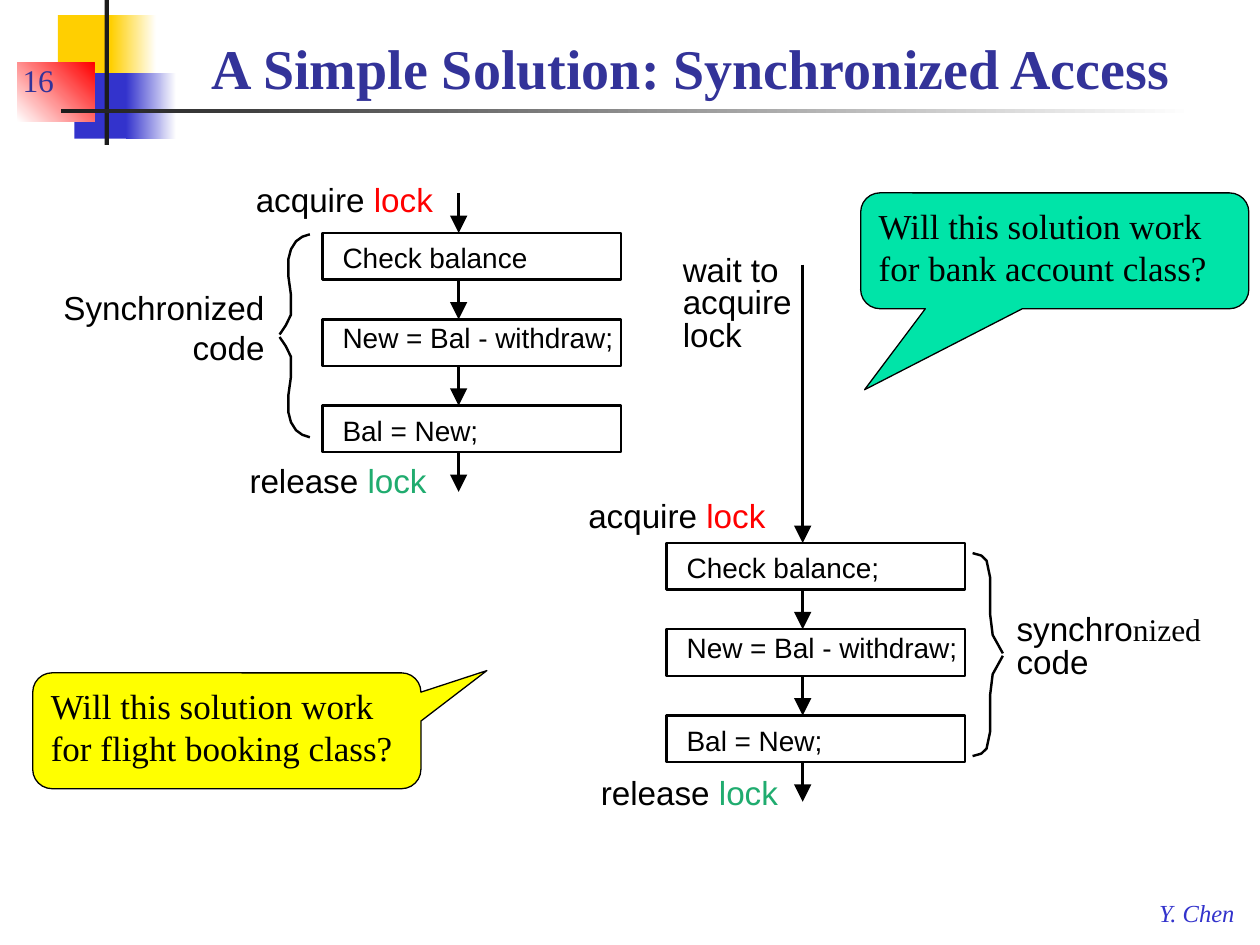
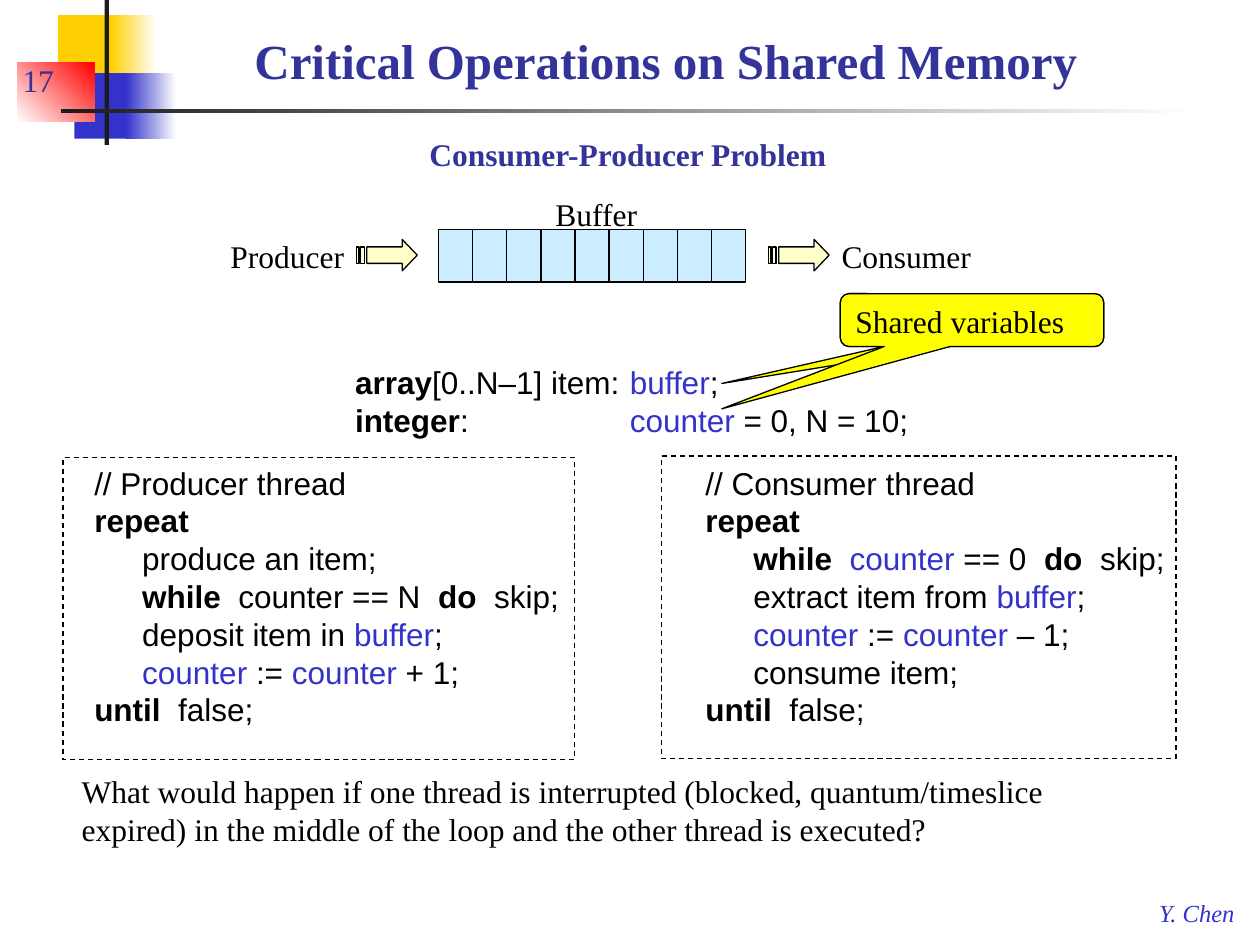
from dataclasses import dataclass

from lxml.etree import SubElement
from pptx import Presentation
from pptx.dml.color import RGBColor
from pptx.enum.dml import MSO_LINE
from pptx.enum.shapes import MSO_CONNECTOR, MSO_SHAPE
from pptx.enum.text import MSO_ANCHOR, MSO_AUTO_SIZE, PP_ALIGN
from pptx.oxml.ns import qn
from pptx.util import Pt


@dataclass(frozen=True)
class Theme:
    serif: str = "Times New Roman"
    sans: str = "Arial"
    ink: str = "000000"
    paper: str = "FFFFFF"
    title: str = "333399"
    blue: str = "3333CC"
    gold: str = "FFCF01"
    red: str = "FF0000"
    green: str = "20AC6F"
    rule: str = "1C1C1C"
    mint: str = "00E4A8"
    yellow: str = "FFFF00"
    cell: str = "CCECFF"
    cream: str = "FFFFCC"
    foot: int = 14
    step: int = 16
    body: int = 18
    label: int = 19
    ask: int = 20
    thin: float = 0.75
    thick: float = 1.38


T = Theme()
BODY = {"name": T.serif, "size": T.body, "color": T.ink}
CODE = BODY | {"name": T.sans}
LABEL = CODE | {"size": T.label}
STEP = CODE | {"size": T.step}
ASK = BODY | {"size": T.ask}
HEAD = BODY | {"color": T.title, "bold": True}
FOOT = BODY | {"size": T.foot, "color": T.blue, "italic": True}

# Half of each brace, from its outer end to its tip
LEFT_BEND = [(17.3, 0), (13, 1.4), (9.4, 4), (6.5, 8.6), (5, 14.4),
             (5, 23.8), (6.5, 34.6), (6.5, 46), (3.6, 52), (0, 57.3)]
RIGHT_BEND = [(0, 0), (5, 1.4), (8, 4.3), (10, 13.7), (10, 18.7),
              (10, 23.8), (10, 34.6), (11.5, 46.8), (14.4, 52), (17.3, 57.3)]
ARROW = [(26, 0), (26, 4.3), (5.8, 4.3), (5.8, 13.7), (26, 13.7), (26, 18),
         (34.6, 9)]


def rgb(code):
    return RGBColor.from_string(code)


def bold(text):
    return text, {"bold": True}


def var(text):
    return text, {"color": T.blue}


def style(font, look):
    for key, value in look.items():
        if key == "color":
            font.color.rgb = rgb(value)
        else:
            setattr(font, key, Pt(value) if key == "size" else value)


def write(frame, lines, look, inset=None, align=PP_ALIGN.LEFT, pitch=None,
          **opts):
    """Fill a frame; a line is a string or a list of strings and (text, look)."""
    opts = {"word_wrap": True, "vertical_anchor": MSO_ANCHOR.TOP} | opts
    if inset:
        sides = ("margin_left", "margin_top", "margin_right", "margin_bottom")
        opts |= {side: Pt(gap) for side, gap in zip(sides, inset)}
    for key, value in opts.items():
        setattr(frame, key, value)
    for i, line in enumerate(lines):
        para = frame.paragraphs[0] if i == 0 else frame.add_paragraph()
        para.alignment = align
        if pitch:
            para.line_spacing = Pt(pitch)
        for part in [line] if isinstance(line, str) else line:
            text, extra = (part, {}) if isinstance(part, str) else part
            run = para.add_run()
            run.text = text
            style(run.font, look | extra)


def text(slide, x, y, w, h, lines, look, **opts):
    frame = slide.shapes.add_textbox(Pt(x), Pt(y), Pt(w), Pt(h)).text_frame
    write(frame, lines, look, **opts)
    return frame


def label(slide, x, y, w, h, lines, look, **opts):
    text(slide, x, y, w, h, lines, look, word_wrap=False,
         auto_size=MSO_AUTO_SIZE.SHAPE_TO_FIT_TEXT, **opts)


def paint(shape, fill=None, line=None, dash=None):
    """Fill with a colour, a (from, to, angle) blend, or nothing."""
    shape.shadow.inherit = False
    if fill is None:
        shape.fill.background()
    elif isinstance(fill, str):
        shape.fill.solid()
        shape.fill.fore_color.rgb = rgb(fill)
    else:
        *ends, angle = fill
        shape.fill.gradient()
        shape.fill.gradient_angle = angle
        for stop, tone in zip(shape.fill.gradient_stops, ends):
            stop.color.rgb = rgb(tone)
    if line is None:
        shape.line.fill.background()
    else:
        shape.line.color.rgb = rgb(T.ink)
        shape.line.width = Pt(line)
        if dash:
            shape.line.dash_style = dash


def box(slide, x, y, w, h, kind=MSO_SHAPE.RECTANGLE, **look):
    shape = slide.shapes.add_shape(kind, Pt(x), Pt(y), Pt(w), Pt(h))
    paint(shape, **look)
    return shape


def callout(slide, x, y, w, h, tip, fill, lines=(), look=ASK):
    shape = box(slide, x, y, w, h, MSO_SHAPE.ROUNDED_RECTANGULAR_CALLOUT,
                fill=fill, line=T.thin)
    for i, value in enumerate((*tip, 0.167)):
        shape.adjustments[i] = value
    write(shape.text_frame, lines, look)


def trace(slide, x, y, curves, close, **look):
    """Draw several outlines, given relative to x and y, as one freeform."""
    pen = None
    for curve in curves:
        first, *rest = [(Pt(x + dx), Pt(y + dy)) for dx, dy in curve]
        if pen is None:
            pen = slide.shapes.build_freeform(*first, scale=1.0)
        else:
            pen.move_to(*first)
        pen.add_line_segments(rest, close=close)
    paint(pen.convert_to_shape(), **look)


def brace(slide, x, y, h, bend):
    flip = [(dx, h - dy) for dx, dy in bend]
    trace(slide, x, y, [bend, flip], False, line=T.thick)


def arrow(slide, x, top, end):
    """Draw a downward arrow."""
    conn = slide.shapes.add_connector(
        MSO_CONNECTOR.STRAIGHT, Pt(x), Pt(top), Pt(x), Pt(end))
    conn.line.color.rgb = rgb(T.ink)
    conn.line.width = Pt(T.thick)
    props = conn.element.spPr
    SubElement(props.find(qn("a:ln")), qn("a:tailEnd"),
               type="triangle", w="lg", len="lg")
    SubElement(props, qn("a:effectLst"))


def flow(slide, x, y, start, steps):
    """Stack the steps, with an arrow into each one and out of the last."""
    high, pitch, mid = 26.6, 49.3, x + 77.8
    arrow(slide, mid, start, y)
    for i, (step, drop) in enumerate(steps):
        top = y + i * pitch
        shape = box(slide, x, top, 170.6, high, line=T.thick)
        write(shape.text_frame, [step], STEP, inset=(11.5, drop, 0, 0))
        arrow(slide, mid, top + high, top + pitch)


def block(slide, x):
    bars = [[(a, 4.3), (a, 13.7), (b, 13.7), (b, 4.3)]
            for a, b in ((2.2, 4.3), (0, 1.4))]
    trace(slide, x, 136.8, [ARROW, *bars], True, fill=T.cream, line=T.thin)


def code(slide, x, w, lines):
    """Write a program whose lines between repeat and until are indented."""
    frame = text(slide, x, 261.4, w, 160, lines, CODE)
    for para in frame.paragraphs[2:-1]:
        para._p.get_or_add_pPr().set("marL", str(Pt(27.4)))


def start(deck, number, title, place, size):
    """Add a slide with the shared bands, footer, number and title."""
    slide = deck.slides.add_slide(deck.slide_layouts[5])
    for spot, fill in (
        ((33.1, 8.6, 34.6, 37.4), T.gold),
        ((63.4, 8.6, 25.9, 37.4), (T.gold, T.paper, 0)),
        ((42.5, 41.8, 33.1, 37.4), T.blue),
        ((72, 41.8, 28.8, 37.4), (T.blue, T.paper, 0)),
        ((10, 36, 44, 33.5), (T.paper, T.red, 45)),
        ((59.8, 0, 2.5, 82.8), T.rule),
        ((34.6, 62.2, 648, 2.2), (T.rule, T.paper, 0)),
    ):
        box(slide, *spot, fill=fill)
    label(slide, 655.2, 509.8, 59, 23.8, ["Y. Chen"], FOOT)
    text(slide, 5.8, 23.8, 150, 36, [str(number)], BODY | {"color": T.title},
         vertical_anchor=MSO_ANCHOR.BOTTOM)
    head = slide.shapes.title
    for key, value in zip(("left", "top", "width", "height"), place):
        setattr(head, key, Pt(value))
    write(head.text_frame, [title], HEAD | {"size": size},
          vertical_anchor=MSO_ANCHOR.BOTTOM, auto_size=MSO_AUTO_SIZE.NONE)
    return slide


def locks(deck):
    slide = start(deck, 16, "A Simple Solution: Synchronized Access",
                  (113.8, 12.2, 600, 49), 32)
    rest = [("New = Bal - withdraw;", 0.7), ("Bal = New;", 4.3)]
    flow(slide, 184.3, 133.2, 110.2, [("Check balance", 4.3), *rest])
    flow(slide, 380.9, 310.3, 151.2, [("Check balance;", 4.3), *rest])

    flush = {"inset": (0, 0, 0, 0)}
    for x, y, verb, tone in (
        (146.2, 102.2, "acquire ", T.red), (142.6, 262.8, "release ", T.green),
        (336.2, 283, "acquire ", T.red), (343.4, 441.4, "release ", T.green),
    ):
        label(slide, x, y, 103, 23, [[verb, ("lock", {"color": tone})]],
              LABEL, **flush)
    label(slide, 36, 164.2, 115.2, 45.4, ["Synchronized", "code"], LABEL,
          align=PP_ALIGN.RIGHT, **flush)
    label(slide, 390.2, 146.2, 67.7, 56.4, ["wait to", "acquire", "lock"],
          LABEL, pitch=18.8, **flush)
    serif = {"name": T.serif, "size": T.body}
    label(slide, 581, 351.4, 105.8, 37.6,
          [["synchro", ("nized", serif)], "code"], LABEL, pitch=18.8, **flush)

    brace(slide, 159.8, 133.9, 116, LEFT_BEND)
    brace(slide, 555.8, 316.1, 116, RIGHT_BEND)
    for x, y, tip, fill, topic in (
        (491.8, 110.2, (-0.49, 1.2), T.mint, "bank account"),
        (18.7, 384.5, (0.67, -0.52), T.yellow, "flight booking"),
    ):
        callout(slide, x, y, 221.8, 66.2, tip, fill,
                [f"Will this solution work for {topic} class?"])


def memory(deck):
    slide = start(deck, 17, "Critical Operations on Shared Memory",
                  (138.2, 5.8, 576, 49), 28)
    for x, y, w in ((36, 261.4, 292.3), (378, 260.6, 294)):
        box(slide, x, y, w, 172.8, fill=T.paper, line=T.thin,
            dash=MSO_LINE.DASH)

    frame = text(slide, 195.8, 203.8, 350, 51, [
        [bold("array"), "[0..N–1] item:\t", var("buffer"), ";"],
        [bold("integer"), ":\t", var("counter"), " = 0, N = 10;"],
    ], CODE)
    for para in frame.paragraphs:
        tabs = SubElement(para._p.get_or_add_pPr(), qn("a:tabLst"))
        SubElement(tabs, qn("a:tab"), pos=str(Pt(157)), algn="l")

    until = [bold("until  "), "false;"]
    code(slide, 46.8, 310, [
        "// Producer thread",
        [bold("repeat")],
        "produce an item;",
        [bold("while"), "  counter == N  ", bold("do"), "  skip;"],
        ["deposit item in ", var("buffer"), ";"],
        [var("counter"), " := ", var("counter"), " + 1;"],
        until,
    ])
    code(slide, 396, 290, [
        "// Consumer thread",
        [bold("repeat")],
        [bold("while  "), var("counter"), " == 0  ", bold("do"), "  skip;"],
        ["extract item from ", var("buffer"), ";"],
        [var("counter"), " := ", var("counter"), " – 1;"],
        "consume item;",
        until,
    ])
    text(slide, 39.6, 437.8, 612, 50.4, [
        "What would happen if one thread is interrupted (blocked, "
        "quantum/timeslice expired) in the middle of the loop and the other "
        "thread is executed?"], BODY)

    label(slide, 238.3, 73.4, 243.4, 29, ["Consumer-Producer Problem"], HEAD)
    for i in range(9):
        box(slide, 250.6 + i * 19.5, 131, 19.5, 30.2, fill=T.cell, line=T.thin)
    for x in (203.8, 439.2):
        block(slide, x)
    for x, y, w, name in ((124.6, 131.8, 79.2, "Producer"),
                          (473.8, 131.8, 88.6, "Consumer"),
                          (310.3, 108, 61.2, "Buffer")):
        label(slide, x, y, w, 29, [name], BODY)
    for drop, lines in ((1.2, []), (1.68, ["Shared variables"])):
        callout(slide, 480.2, 167.8, 150.5, 30.2, (-0.95, drop), T.yellow,
                lines, BODY)


def main():
    deck = Presentation()
    deck.slide_width, deck.slide_height = Pt(720), Pt(540)
    locks(deck)
    memory(deck)
    deck.save("out.pptx")


if __name__ == "__main__":
    main()
